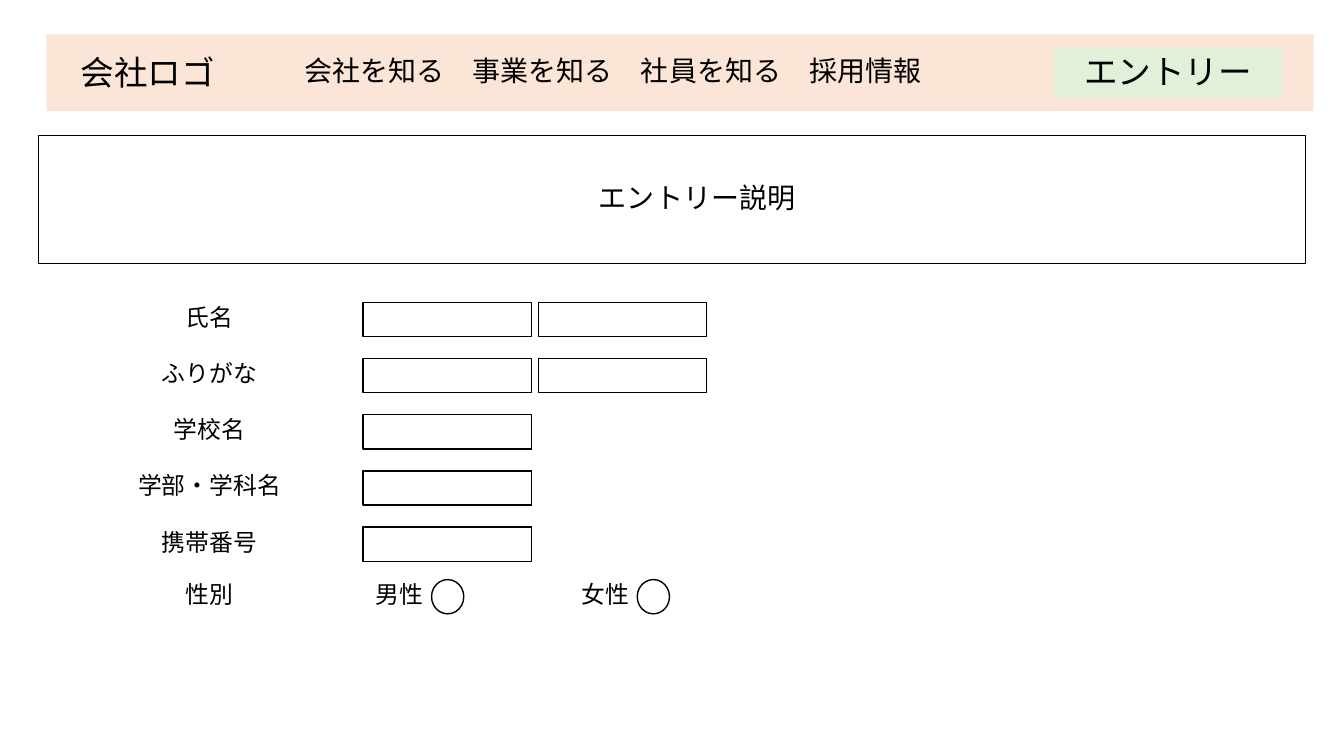
from typing import NamedTuple, Optional

from lxml import etree
from pptx import Presentation
from pptx.dml.color import RGBColor
from pptx.enum.shapes import MSO_SHAPE
from pptx.enum.text import MSO_ANCHOR, PP_ALIGN
from pptx.oxml.ns import qn
from pptx.util import Inches, Pt

RECT, OVAL = MSO_SHAPE.RECTANGLE, MSO_SHAPE.OVAL
LEFT, CENTER = PP_ALIGN.LEFT, PP_ALIGN.CENTER
MIDDLE = MSO_ANCHOR.MIDDLE
FONT = "Noto Sans CJK JP"
COLORS = {"text": "000000", "line": "000000", "paper": "FFFFFF",
          "header": "FBE5D6", "entry": "E2F0D9"}


class Box(NamedTuple):
    left: float
    top: float
    width: float
    height: float


class Field(NamedTuple):
    label: str
    inputs: int


class Choice(NamedTuple):
    label: str
    label_left: float
    circle_left: float


def add_box(box: Box, kind=RECT, fill: Optional[str] = None,
            line: Optional[str] = None, line_width: float = 0.75):
    sp = s.shapes.add_shape(kind, *(Inches(v) for v in box))
    sp.shadow.inherit = False
    if fill:
        sp.fill.solid()
        sp.fill.fore_color.rgb = RGBColor.from_string(COLORS[fill])
    else:
        sp.fill.background()
    if line:
        sp.line.color.rgb = RGBColor.from_string(COLORS[line])
        sp.line.width = Pt(line_width)
    else:
        sp.line.fill.background()
    return sp


def write(sp, text: str, size: float = 17, align=CENTER, indent: float = 0.5,
          spacing: float = 0.9, before: float = 5) -> None:
    tf = sp.text_frame
    tf.word_wrap = True
    tf.vertical_anchor = MIDDLE
    p = tf.paragraphs[0]
    p.alignment = align
    p.line_spacing = spacing
    p.space_before = Pt(before)
    if indent:
        p.level = 1
        pPr = p._p.get_or_add_pPr()
        pPr.set("marL", str(Inches(indent)))
        pPr.set("indent", "0")
    r = p.add_run()
    r.text = text
    r.font.size = Pt(size)
    r.font.color.rgb = RGBColor.from_string(COLORS["text"])
    r.font.name = FONT
    # East Asian typeface
    etree.SubElement(r._r.get_or_add_rPr(), qn("a:ea")).set("typeface", FONT)


def add_label(text: str, left: float, top: float, width: float) -> None:
    sp = add_box(Box(left, top, width, ROW_HEIGHT), fill="paper", line="paper")
    write(sp, text, spacing=0.8)


prs = Presentation()
prs.slide_width, prs.slide_height = Inches(13.33), Inches(7.5)
s = prs.slides.add_slide(prs.slide_layouts[6])

# Header: navigation, entry button, company mark
nav = add_box(Box(2.42, 0.34, 10.61, 0.76), fill="header")
write(nav, "会社を知る　事業を知る　社員を知る　採用情報", size=20, align=LEFT)
entry = add_box(Box(10.45, 0.48, 2.27, 0.49), fill="entry")
write(entry, "エントリー", size=24, indent=0, before=10)
company = add_box(Box(0.46, 0.34, 2.01, 0.76), fill="header")
write(company, "会社ロゴ", size=24, indent=0, spacing=1.0, before=10)

# Entry description
description = add_box(Box(0.38, 1.34, 12.57, 1.27), fill="paper", line="line")
write(description, "エントリー説明", size=20)

# Form rows with one or two input boxes
FIELDS = [Field("氏名", 2), Field("ふりがな", 2), Field("学校名", 1),
          Field("学部・学科名", 1), Field("携帯番号", 1)]
LABEL_LEFT, LABEL_WIDTH, ROW_HEIGHT = 0.38, 2.9, 0.34
FIRST_ROW, LAST_ROW = 3.0, 5.23
ROW_PITCH = (LAST_ROW - FIRST_ROW) / (len(FIELDS) - 1)
INPUT_LEFT, INPUT_WIDTH, INPUT_PITCH = 3.6, 1.67, 1.74

for row, field in enumerate(FIELDS):
    top = FIRST_ROW + row * ROW_PITCH
    add_label(field.label, LABEL_LEFT, top, LABEL_WIDTH)
    for col in range(field.inputs):
        add_box(Box(INPUT_LEFT + col * INPUT_PITCH, top, INPUT_WIDTH, ROW_HEIGHT),
                line="line", line_width=1)

# Gender choices
GENDER_TOP = 5.75
CHOICES = [Choice("男性", 2.67, 4.28), Choice("女性", 4.71, 6.32)]
add_label("性別", LABEL_LEFT, GENDER_TOP, LABEL_WIDTH)
for choice in CHOICES:
    add_label(choice.label, choice.label_left, GENDER_TOP, 2.09)
    add_box(Box(choice.circle_left, GENDER_TOP, 0.32, ROW_HEIGHT), kind=OVAL,
            fill="paper", line="line", line_width=1)

prs.save("out.pptx")
